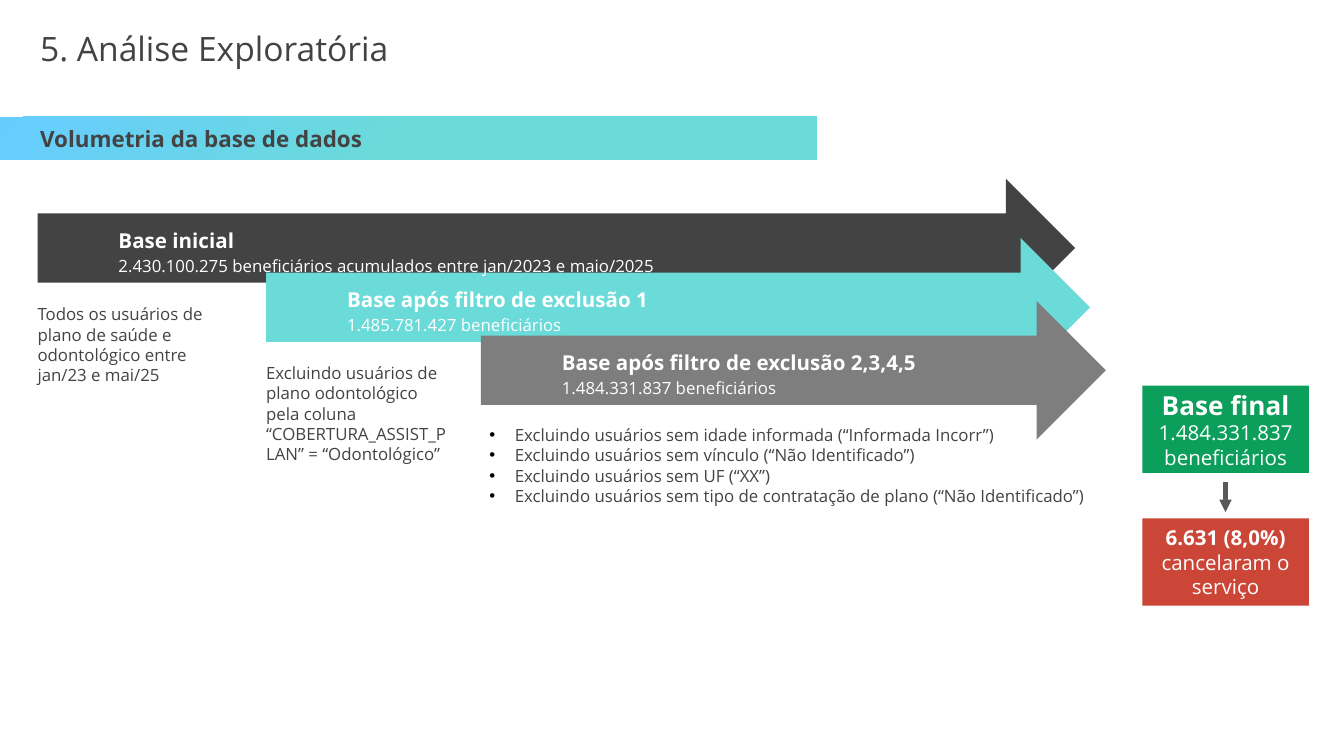
from dataclasses import dataclass

from lxml import etree
from pptx import Presentation
from pptx.dml.color import RGBColor
from pptx.enum.shapes import MSO_CONNECTOR as Line, MSO_SHAPE as Shape
from pptx.enum.text import MSO_ANCHOR as Anchor, PP_ALIGN as Align
from pptx.oxml import parse_xml
from pptx.oxml.ns import nsdecls, qn
from pptx.util import Cm, Pt


@dataclass(frozen=True)
class Theme:
    font: str = "Open Sans"
    dark: str = "434343"
    aqua: str = "6ADBD9"
    sky: str = "66CCFF"
    gray: str = "7E7E7E"
    green: str = "0B9F5B"
    red: str = "CC4638"
    line: str = "595959"
    white: str = "FFFFFF"
    black: str = "000000"
    title: int = 18
    final: int = 14
    band: int = 12
    heading: int = 11
    body: int = 9


THEME = Theme()
PADDED = (0.18, 0.1, 0.18, 0.1)
TIGHT = (0, 0.03, 0, 0)


class Deck:
    def __init__(self, prs, theme):
        self.theme = theme
        self.s = prs.slides.add_slide(prs.slide_layouts[6])

    def set_text(self, sp, paragraphs, color, insets=PADDED, anchor=Anchor.TOP,
                 align=Align.LEFT, spacing=None):
        """Fill a shape; each paragraph is a list of (text, size, bold)."""
        tf = sp.text_frame
        tf.word_wrap = True
        tf.vertical_anchor = anchor
        tf.margin_left, tf.margin_top, tf.margin_right, tf.margin_bottom = map(Cm, insets)
        for i, runs in enumerate(paragraphs):
            p = tf.add_paragraph() if i else tf.paragraphs[0]
            p.alignment = align
            p.line_spacing = spacing
            for text, size, bold in runs:
                r = p.add_run()
                r.text = text
                r.font.name = self.theme.font
                r.font.size = Pt(size)
                r.font.bold = bold
                r.font.color.rgb = RGBColor.from_string(color)

    def text(self, box, paragraphs, color, **style):
        sp = self.s.shapes.add_textbox(*map(Cm, box))
        self.set_text(sp, paragraphs, color, **style)
        return sp

    def shape(self, kind, box, fill):
        sp = self.s.shapes.add_shape(kind, *map(Cm, box))
        sp.shadow.inherit = False
        sp.fill.solid()
        sp.fill.fore_color.rgb = RGBColor.from_string(fill)
        sp.line.fill.background()
        return sp

    def band(self, box, text):
        """Section heading on a gradient that radiates from the lower right."""
        t = self.theme
        sp = self.shape(Shape.RECTANGLE, box, t.aqua)
        stops = "".join(
            f'<a:gs pos="{pos}"><a:srgbClr val="{color}"/></a:gs>'
            for pos, color in ((0, t.aqua), (50000, t.aqua), (100000, t.sky)))
        solid = sp._element.spPr.find(qn("a:solidFill"))
        solid.getparent().replace(solid, parse_xml(
            f'<a:gradFill {nsdecls("a")}><a:gsLst>{stops}</a:gsLst>'
            '<a:path path="circle"><a:fillToRect l="100000" t="100000"/></a:path>'
            '</a:gradFill>'))
        self.set_text(sp, [[(text, t.band, True)]], t.dark,
                      insets=(0.76, 0.1, 0.18, 0.1), anchor=Anchor.MIDDLE)

    def result(self, top, fill, paragraphs):
        sp = self.shape(Shape.RECTANGLE, (21.59, top, 3.15, 1.65), fill)
        self.set_text(sp, paragraphs, self.theme.white,
                      anchor=Anchor.MIDDLE, align=Align.CENTER)

    def note(self, box, text):
        self.text(box, [[(text, self.theme.body, False)]], self.theme.dark, insets=TIGHT)

    def bullets(self, box, items):
        t = self.theme
        sp = self.text(box, [[(item, t.body, False)] for item in items],
                       t.dark, insets=TIGHT)
        for p in sp.text_frame.paragraphs:
            pPr = p._p.get_or_add_pPr()
            pPr.set("marL", str(Cm(0.48)))
            pPr.set("indent", str(-Cm(0.48)))
            color = etree.SubElement(pPr, qn("a:buClr"))
            etree.SubElement(color, qn("a:srgbClr"), val=t.black)
            etree.SubElement(pPr, qn("a:buFont"), typeface="Arial")
            etree.SubElement(pPr, qn("a:buChar"), char="•")

    def connector(self, x, top, bottom):
        c = self.s.shapes.add_connector(Line.STRAIGHT, Cm(x), Cm(top), Cm(x), Cm(bottom))
        c.line.color.rgb = RGBColor.from_string(self.theme.line)
        c.line.width = Pt(2.25)
        etree.SubElement(c.line._get_or_add_ln(), qn("a:tailEnd"), type="triangle")
        etree.SubElement(c._element.spPr, qn("a:effectLst"))


def main():
    t = THEME
    prs = Presentation()
    prs.slide_width, prs.slide_height = Cm(25.4), Cm(14.29)
    deck = Deck(prs, t)

    deck.text((0.58, 0.18, 13.79, 1.47), [[("5. Análise Exploratória", t.title, False)]],
              t.dark, anchor=Anchor.MIDDLE)
    deck.band((0, 2.21, 15.44, 0.81), "Volumetria da base de dados")

    # left, top, arrow width, fill, label width, heading, detail
    stages = [
        (0.71, 3.38, 19.61, t.dark, 13.06, "Base inicial",
         "2.430.100.275 beneficiários acumulados entre jan/2023 e maio/2025"),
        (5.03, 4.5, 15.57, t.aqua, 6.02, "Base após filtro de exclusão 1",
         "1.485.781.427 beneficiários"),
        (9.09, 5.69, 11.81, t.gray, 8.66, "Base após filtro de exclusão 2,3,4,5",
         "1.484.331.837 beneficiários"),
    ]
    for left, top, width, fill, *_ in stages:
        deck.shape(Shape.RIGHT_ARROW, (left, top, width, 2.62), fill)
    for left, top, _, _, width, heading, detail in stages:
        deck.text((left + 1.5, top + 0.81, width, 1.04),
                  [[(heading, t.heading, True)], [(detail, t.body, False)]],
                  t.white, insets=(0.03, 0.03, 0, 0), spacing=1.18)

    deck.note((0.71, 5.72, 3.48, 1.57),
              "Todos os usuários de plano de saúde e odontológico entre jan/23 e mai/25")
    deck.note((5.03, 6.83, 3.48, 2.34),
              "Excluindo usuários de plano odontológico pela coluna "
              "“COBERTURA_ASSIST_PLAN” = “Odontológico”")
    deck.bullets((9.25, 8, 11.66, 2.72), [
        "Excluindo usuários sem idade informada (“Informada Incorr”)",
        "Excluindo usuários sem vínculo (“Não Identificado”)",
        "Excluindo usuários sem UF (“XX”)",
        "Excluindo usuários sem tipo de contratação de plano (“Não Identificado”)",
    ])

    deck.result(7.29, t.green, [[("Base final", t.final, True)],
                                [("1.484.331.837 beneficiários", t.heading, False)]])
    deck.result(9.8, t.red, [[("6.631 (8,0%) ", t.heading, True),
                              ("cancelaram o serviço", t.heading, False)]])
    deck.connector(23.16, 9.12, 9.68)

    prs.save("out.pptx")


if __name__ == "__main__":
    main()
